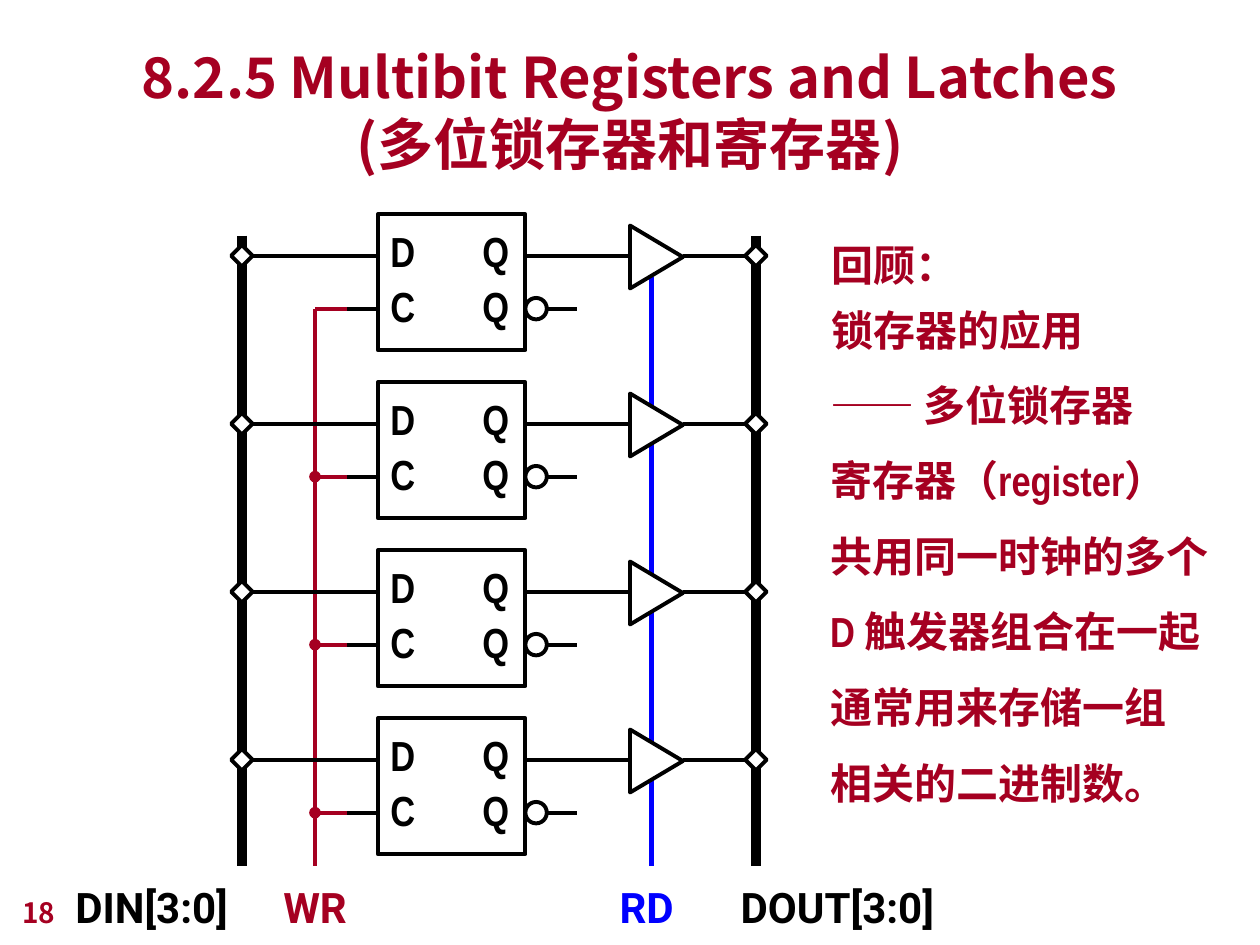
from dataclasses import dataclass

from lxml.etree import SubElement
from pptx import Presentation
from pptx.dml.color import RGBColor
from pptx.enum.shapes import MSO_CONNECTOR, MSO_SHAPE
from pptx.enum.text import MSO_ANCHOR, PP_ALIGN
from pptx.oxml.ns import qn
from pptx.util import Inches, Pt

COLORS = {"black": "000000", "white": "FFFFFF", "red": "A50021", "blue": "0000FF"}
ROWS = 4
PITCH = 4 / 3
DATA_Y = 2.03
CLOCK_Y = 2.45
BUS_TOP, BUS_BOTTOM = 1.87, 6.87
NODE = 0.17
DIN_X, WR_X, RD_X, DOUT_X = 1.92, 2.5, 5.17, 6.0


@dataclass
class Wire:
    x1: float
    y1: float
    x2: float
    y2: float
    color: str = "black"
    width: float = 2.25


@dataclass
class Label:
    text: str
    left: float
    top: float
    width: float
    height: float
    font: str = "Roboto"
    color: str = "black"
    spacing: float = 1.0


BUSES = [
    Wire(DIN_X, BUS_TOP, DIN_X, BUS_BOTTOM, width=6),
    Wire(DOUT_X, BUS_TOP, DOUT_X, BUS_BOTTOM, width=6),
    Wire(WR_X, CLOCK_Y, WR_X, BUS_BOTTOM, "red"),
    Wire(RD_X, 2.2, RD_X, BUS_BOTTOM, "blue", 3),
]
# Wires of the first bit; the other bits repeat them one pitch lower.
BIT_WIRES = [
    Wire(2.67, DATA_Y, 3, DATA_Y),
    Wire(2.67, CLOCK_Y, 3, CLOCK_Y),
    Wire(4.17, DATA_Y, 4.58, DATA_Y),
    Wire(4.33, CLOCK_Y, 4.58, CLOCK_Y),
    Wire(4.58, DATA_Y, 5, DATA_Y),
]
LABELS = [
    Label("DIN[3:0]", 0.5, 6.95, 1.54, 0.5),
    Label("WR", 2.15, 6.95, 0.74, 0.5, color="red"),
    Label("RD", 4.82, 6.95, 0.66, 0.5, color="blue"),
    Label("DOUT[3:0]", 5.78, 6.95, 1.85, 0.5),
    Label("回顾：\n锁存器的应用", 6.5, 1.73, 2.2, 1.14, "Arial Narrow", "red", 1.3),
    Label("—— 多位锁存器\n寄存器（register）\n共用同一时钟的多个\n"
          "D 触发器组合在一起\n通常用来存储一组\n相关的二进制数。",
          6.49, 2.76, 3.22, 3.7, "Arial Narrow", "red", 1.5),
]


def rgb(name: str) -> RGBColor:
    return RGBColor.from_string(COLORS[name])


def write(shape, text: str, *, font: str, color: str, size: float = 24,
          spacing: float = 1.0, align=PP_ALIGN.LEFT, anchor=MSO_ANCHOR.TOP,
          wrap: bool = True, tab: float = 0) -> None:
    """Fill a shape with bold text, one paragraph per line; tab is in inches."""
    frame = shape.text_frame
    frame.word_wrap = wrap
    frame.vertical_anchor = anchor
    frame.text = text
    for paragraph in frame.paragraphs:
        paragraph.alignment = align
        paragraph.line_spacing = spacing
        if tab:
            stops = SubElement(paragraph._p.get_or_add_pPr(), qn("a:tabLst"))
            SubElement(stops, qn("a:tab"), pos=str(Inches(tab)), algn="l")
        for run in paragraph.runs:
            run.font.name = font
            run.font.size = Pt(size)
            run.font.bold = True
            run.font.color.rgb = rgb(color)


def add_textbox(slide, left: float, top: float, width: float, height: float):
    return slide.shapes.add_textbox(Inches(left), Inches(top), Inches(width), Inches(height))


def add_part(slide, kind, left: float, top: float, width: float, height: float):
    part = slide.shapes.add_shape(kind, Inches(left), Inches(top), Inches(width), Inches(height))
    part.shadow.inherit = False
    part.fill.solid()
    part.fill.fore_color.rgb = rgb("white")
    part.line.color.rgb = rgb("black")
    part.line.width = Pt(2.25)
    return part


def add_wire(slide, wire: Wire, dy: float = 0, dot: bool = False):
    """Draw a wire dy inches lower, with a junction dot at its start if asked."""
    line = slide.shapes.add_connector(
        MSO_CONNECTOR.STRAIGHT, Inches(wire.x1), Inches(wire.y1 + dy),
        Inches(wire.x2), Inches(wire.y2 + dy))
    line.line.color.rgb = rgb(wire.color)
    line.line.width = Pt(wire.width)
    if dot:
        SubElement(line.line._get_or_add_ln(), qn("a:headEnd"), type="oval")
    SubElement(line._element.spPr, qn("a:effectLst"))
    return line


def add_node(slide, x: float, y: float):
    return add_part(slide, MSO_SHAPE.DIAMOND, x - NODE / 2, y - NODE / 2, NODE, NODE)


def add_bit(slide, row: int) -> None:
    """Draw one latch with its tri-state buffer, bus nodes and wires."""
    dy = row * PITCH
    latch = add_part(slide, MSO_SHAPE.RECTANGLE, 3, 1.7 + dy, 1.17, 1.08)
    write(latch, "D\tQ\nC\tQ", font="Arial Narrow", color="black", spacing=1.1, tab=0.73)
    add_part(slide, MSO_SHAPE.OVAL, 4.17, CLOCK_Y - NODE / 2 + dy, NODE, NODE)
    for wire in BIT_WIRES:
        add_wire(slide, wire, dy)
    add_wire(slide, Wire(WR_X, CLOCK_Y, 2.75, CLOCK_Y, "red"), dy, dot=row > 0)

    buffer = add_part(slide, MSO_SHAPE.ISOSCELES_TRIANGLE, 4.96, 1.83 + dy, 0.5, 0.42)
    buffer.rotation = 90
    din_node = add_node(slide, DIN_X, DATA_Y + dy)
    dout_node = add_node(slide, DOUT_X, DATA_Y + dy)
    add_wire(slide, Wire(2, DATA_Y, 2.67, DATA_Y), dy).begin_connect(din_node, 3)
    add_wire(slide, Wire(5.42, DATA_Y, 5.92, DATA_Y), dy).end_connect(dout_node, 1)


def main() -> None:
    deck = Presentation()
    deck.slide_width, deck.slide_height = Inches(10), Inches(7.5)
    slide = deck.slides.add_slide(deck.slide_layouts[6])

    for bus in BUSES:
        add_wire(slide, bus)
    for row in range(ROWS):
        add_bit(slide, row)
    for label in LABELS:
        box = add_textbox(slide, label.left, label.top, label.width, label.height)
        write(box, label.text, font=label.font, color=label.color,
              spacing=label.spacing, wrap=False)

    title = add_textbox(slide, 0.71, 0.28, 8.58, 1.17)
    write(title, "8.2.5 Multibit Registers and Latches\v(多位锁存器和寄存器)",
          font="Noto Sans CJK JP", color="red", size=32,
          align=PP_ALIGN.CENTER, anchor=MSO_ANCHOR.BOTTOM)
    page_number = add_textbox(slide, 0.08, 6.92, 2.08, 0.5)
    write(page_number, "18", font="Noto Sans CJK JP", color="red", size=16,
          anchor=MSO_ANCHOR.BOTTOM)

    deck.save("out.pptx")


if __name__ == "__main__":
    main()
